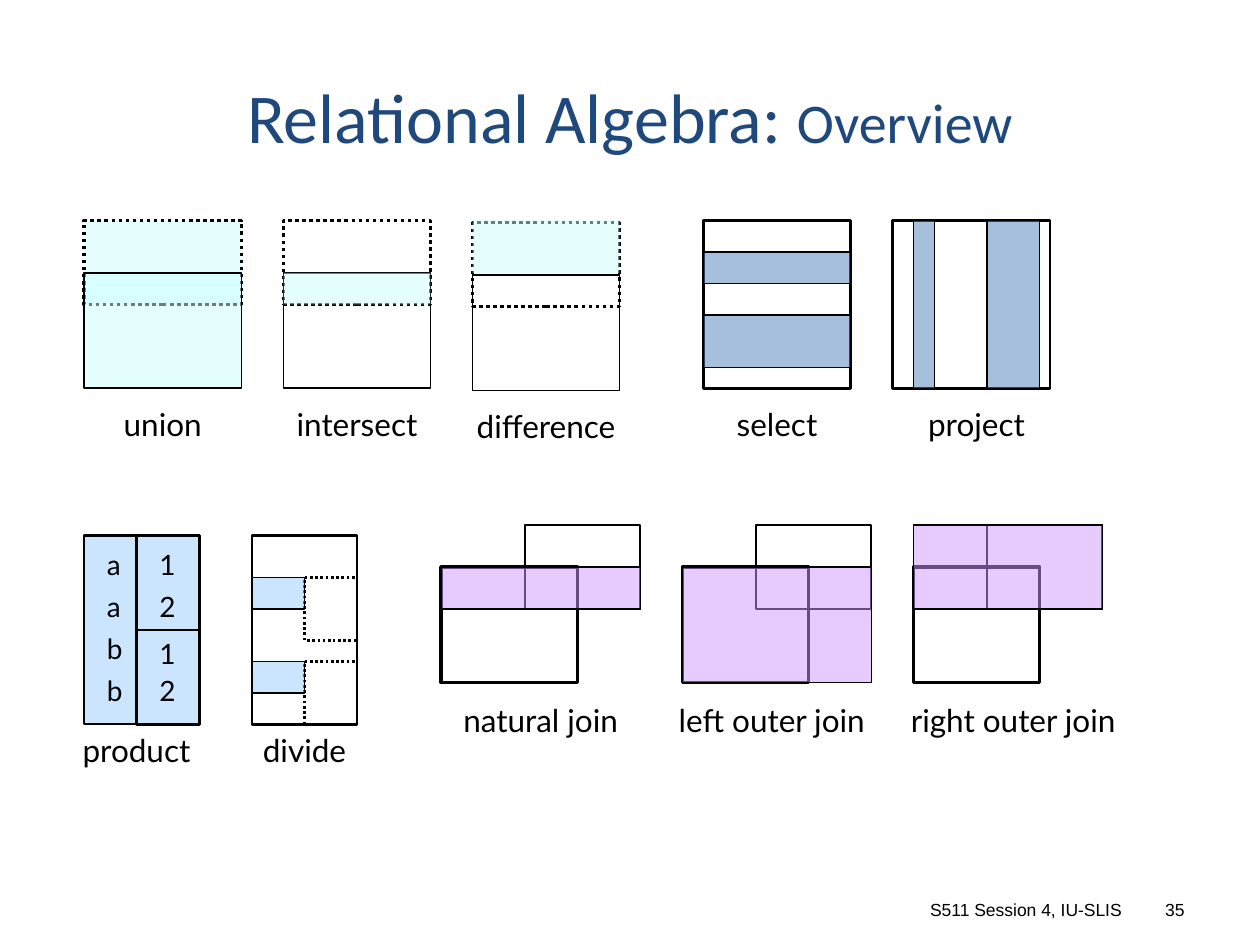
from dataclasses import dataclass
from typing import NamedTuple, Optional

from lxml import etree
from pptx import Presentation
from pptx.dml.color import RGBColor
from pptx.enum.dml import MSO_LINE
from pptx.enum.shapes import MSO_SHAPE
from pptx.enum.text import MSO_ANCHOR, PP_ALIGN
from pptx.oxml.ns import qn
from pptx.util import Cm, Pt

RECT = MSO_SHAPE.RECTANGLE
DOTS = MSO_LINE.ROUND_DOT
LEFT, MID, RIGHT = PP_ALIGN.LEFT, PP_ALIGN.CENTER, PP_ALIGN.RIGHT
TOP, HALF, LOW = MSO_ANCHOR.TOP, MSO_ANCHOR.MIDDLE, MSO_ANCHOR.BOTTOM
UNIT = 2.54 / 12


@dataclass(frozen=True)
class Theme:
    ink: str = "000000"
    head: str = "1F497D"
    aqua: str = "CCFFFF"
    blue: str = "4F81BD"
    sky: str = "99CCFF"
    plum: str = "CC99FF"
    title: int = 40
    sub: int = 32
    label: int = 18
    cell: int = 16
    foot: int = 10
    body: str = "Lato"
    top: str = "Calibri"
    base: str = "Arial"


THEME = Theme()


class Box(NamedTuple):
    x: float
    y: float
    w: float
    h: float
    fill: Optional[str] = None
    line: float = 1
    dots: bool = False


class Run(NamedTuple):
    text: str
    size: int = THEME.label
    font: str = THEME.body
    tint: str = THEME.ink


class Note(NamedTuple):
    x: float
    y: float
    w: float
    h: float
    runs: tuple[Run, ...]
    align: PP_ALIGN = MID
    anchor: MSO_ANCHOR = TOP


def grid(*vals: float) -> list[Cm]:
    return [Cm(val * UNIT) for val in vals]


def draw(slide, box: Box) -> None:
    shape = slide.shapes.add_shape(RECT, *grid(box.x, box.y, box.w, box.h))
    shape.shadow.inherit = False
    if box.fill:
        shape.fill.solid()
        shape.fill.fore_color.rgb = RGBColor.from_string(box.fill)
        tint = shape.fill._xPr.find(".//" + qn("a:srgbClr"))
        etree.SubElement(tint, qn("a:alpha")).set("val", "50000")
    else:
        shape.fill.background()
    if box.line:
        shape.line.color.rgb = RGBColor.from_string(THEME.ink)
        shape.line.width = Pt(box.line)
        if box.dots:
            shape.line.dash_style = DOTS
    else:
        shape.line.fill.background()


def write(slide, note: Note) -> None:
    frame = slide.shapes.add_textbox(*grid(note.x, note.y, note.w, note.h)).text_frame
    frame.word_wrap = True
    frame.vertical_anchor = note.anchor
    para = frame.paragraphs[0]
    para.alignment = note.align
    for item in note.runs:
        run = para.add_run()
        run.text = item.text
        run.font.size = Pt(item.size)
        run.font.name = item.font
        run.font.color.rgb = RGBColor.from_string(item.tint)


def pair(x: float, y: float, w: float, fill: Optional[str] = None) -> list[Box]:
    return [Box(x, y, w, 8, fill, 2, True), Box(x, y + 5, w, 11, fill)]


def join(x: float, w: float, far: float, mark: Box) -> list[Box]:
    return [Box(x, 54, w, 11, line=2), Box(far, 50, 11, 8, line=1.25), mark]


def boxes() -> list[Box]:
    aqua, blue, sky, plum = THEME.aqua, THEME.blue, THEME.sky, THEME.plum
    sets = [
        *pair(8, 21, 15, aqua),
        *pair(27, 21, 14),
        Box(27, 26, 14, 3, aqua, 0),
        *pair(45, 21.2, 14),
        Box(45, 21, 14, 5, aqua, 0),
    ]
    picks = [
        Box(67, 21, 14, 16, line=1.25),
        *(Box(67, y, 14, h, blue) for y, h in ((24, 3), (30, 5))),
        Box(85, 21, 15, 16, line=1.25),
        *(Box(x, 21, w, 16, blue) for x, w in ((87, 2), (94, 5))),
    ]
    joins = [
        *join(42, 13, 50, Box(42, 54, 19, 4, plum)),
        *join(65, 12, 72, Box(65, 54, 18, 11, plum)),
        *join(87, 12, 94, Box(87, 50, 18, 8, plum)),
    ]
    product = [
        Box(8, 51, 5, 18, sky, 1.25),
        *(Box(13, y, 6, 9, sky, 1.25) for y in (51, 60)),
    ]
    divide = [
        Box(24, 51, 10, 18, line=1.5),
        *(Box(29, y, 5, 6, line=1.5, dots=True) for y in (55, 63)),
        *(Box(24, y, 5, 3, sky) for y in (55, 63)),
    ]
    return sets + picks + joins + product + divide


def notes() -> list[Note]:
    labels = (
        ("union", 10, 38, 11), ("intersect", 27, 38, 14),
        ("difference", 44, 38.2, 16), ("select", 67, 38, 14),
        ("project", 86, 38, 14), ("natural join", 42, 66.2, 19),
        ("left outer join", 63, 66.2, 21), ("right outer join", 85, 66.2, 23),
        ("product", 6, 69, 14), ("divide", 22, 69, 14),
    )
    cols = (
        (9, "aabb", (51.6, 55.6, 59.6, 63.6)),
        (14, "1212", (51.6, 55.6, 60, 63.6)),
    )
    title = (
        Run("Relational Algebra: ", THEME.title, THEME.top, THEME.head),
        Run("Overview", THEME.sub, THEME.top, THEME.head),
    )
    feet = (("S511 Session 4, IU-SLIS", 82, 26), ("35", 109, 5))
    return [
        Note(6, 5, 108, 12, title, MID, HALF),
        *(Note(x, y, w, 4.8, (Run(text),)) for text, x, y, w in labels),
        *(
            Note(x, y, 3, 4.4, (Run(text, THEME.cell),), LEFT)
            for x, texts, rows in cols
            for text, y in zip(texts, rows)
        ),
        *(
            Note(x, 85, w, 3.2, (Run(text, THEME.foot, THEME.base),), RIGHT, LOW)
            for text, x, w in feet
        ),
    ]


def main() -> None:
    deck = Presentation()
    deck.slide_width, deck.slide_height = Cm(25.4), Cm(19.05)
    slide = deck.slides.add_slide(deck.slide_layouts[6])
    for box in boxes():
        draw(slide, box)
    for note in notes():
        write(slide, note)
    deck.save("out.pptx")


if __name__ == "__main__":
    main()
